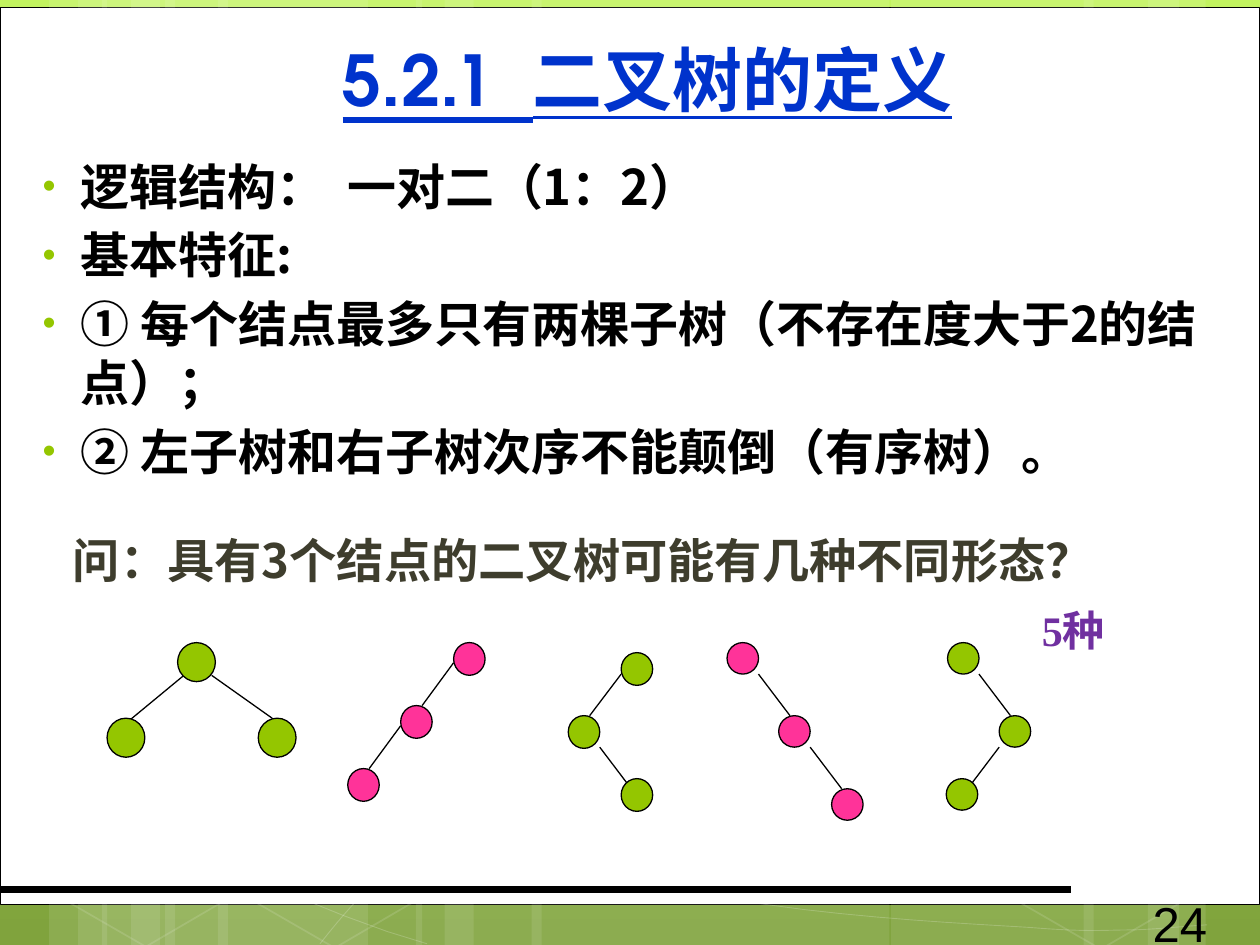
from copy import deepcopy

from lxml.etree import SubElement
from pptx import Presentation
from pptx.dml.color import RGBColor
from pptx.enum.shapes import MSO_CONNECTOR, MSO_SHAPE
from pptx.enum.text import MSO_ANCHOR, PP_ALIGN
from pptx.oxml.ns import qn
from pptx.util import Inches, Pt

CJK = "Noto Sans CJK SC"
GREEN, PINK = "94C600", "FF3399"
GRADIENT = [(0, "C2F35F"), (0.62, "92BE3F"), (1, "80A33D")]

TITLE = "5.2.1  二叉树的定义"
BULLETS = [
    "逻辑结构：  一对二（1：2）",
    "基本特征:",
    "① 每个结点最多只有两棵子树（不存在度大于2的结点）；",
    "② 左子树和右子树次序不能颠倒（有序树）。",
]
QUESTION = "问：具有3个结点的二叉树可能有几种不同形态？"
ANSWER = "5种"

# Background: (left, width) of stripes, (left, top) of hexagons, Bezier points of curves
STRIPES = [(1.31, 1.61), (0.39, 0.46), (0.62, 0.77), (1.73, 1.62), (0.81, 0.46),
           (1.04, 0.77), (7.07, 1.61), (9.11, 0.46), (8.6, 0.76), (4.22, 2.84),
           (3.3, 0.46), (3.53, 0.77)]
HEXAGONS = [(0.41, 5.91), (1.91, 5.92), (7.99, 5.93)]
CURVES = [
    [(0.36, 6.17), (1.47, 6.72), (2.58, 7.27), (3.39, 7.49)],
    [(0.37, 5.78), (0.66, 5.89), (0.95, 6), (1.49, 6.16), (2.02, 6.31), (2.82, 6.56),
     (3.59, 6.73), (4.36, 6.9), (5.33, 7.08), (6.09, 7.18), (6.85, 7.29), (7.67, 7.33),
     (8.16, 7.36), (8.64, 7.4), (8.77, 7.38), (9.01, 7.38), (9.24, 7.37), (9.41, 7.35),
     (9.58, 7.34)],
    [(2.54, 7.49), (2.7, 7.29), (2.86, 7.09), (3.09, 6.91), (3.31, 6.72), (3.62, 6.53),
     (3.88, 6.39), (4.13, 6.25), (4.29, 6.19), (4.63, 6.09), (4.97, 5.99), (5.59, 5.85),
     (5.91, 5.78), (6.23, 5.71), (6.28, 5.71), (6.57, 5.69), (6.85, 5.66), (7.3, 5.63),
     (7.62, 5.62), (7.94, 5.61), (8.47, 5.62), (8.47, 5.62)],
]

# Trees: colour, node size, left/top of nodes, ends of edges
TREES = [
    (GREEN, (0.3, 0.31), [(1.41, 5.1), (0.85, 5.7), (2.05, 5.7)],
     [(1.46, 5.36, 1, 5.74), (1.68, 5.36, 2.16, 5.7)]),
    (PINK, (0.25, 0.26), [(3.6, 5.1), (3.18, 5.6), (2.76, 6.1)],
     [(3.6, 5.26, 3.35, 5.6), (3.18, 5.76, 2.93, 6.1)]),
    (GREEN, (0.25, 0.26), [(4.93, 5.18), (4.51, 5.68), (4.93, 6.18)],
     [(4.93, 5.35, 4.68, 5.68), (4.76, 5.93, 5.01, 6.26)]),
    (PINK, (0.25, 0.25), [(5.77, 5.1), (6.18, 5.68), (6.6, 6.26)],
     [(6.02, 5.35, 6.27, 5.68), (6.43, 5.93, 6.68, 6.26)]),
    (GREEN, (0.25, 0.25), [(7.52, 5.1), (7.93, 5.68), (7.51, 6.18)],
     [(7.77, 5.35, 8.02, 5.68), (7.93, 5.93, 7.68, 6.26)]),
]


def rgb(code):
    return RGBColor.from_string(code)


def paint(sp, fill=None, line=None, width=0.75, fill_alpha=None, line_alpha=None):
    """Set fill and outline; alphas are percentages of opacity."""
    sp.shadow.inherit = False
    for part, color in ((sp.fill, fill), (sp.line.fill, line)):
        if color is None:
            part.background()
            continue
        part.solid()
        part.fore_color.rgb = rgb(color)
    if line:
        sp.line.width = Pt(width)
    pr = sp._element.spPr
    for owner, alpha in ((pr, fill_alpha), (pr.find(qn("a:ln")), line_alpha)):
        if alpha:
            clr = owner.find(qn("a:solidFill")).find(qn("a:srgbClr"))
            SubElement(clr, qn("a:alpha"), val=str(alpha * 1000))


def add_shape(kind, x, y, w, h, **style):
    sp = s.shapes.add_shape(kind, Inches(x), Inches(y), Inches(w), Inches(h))
    paint(sp, **style)
    return sp


def add_line(x1, y1, x2, y2, width=0.75):
    c = s.shapes.add_connector(MSO_CONNECTOR.STRAIGHT, *map(Inches, (x1, y1, x2, y2)))
    c.line.color.rgb = rgb("000000")
    c.line.width = Pt(width)
    SubElement(c._element.spPr, qn("a:effectLst"))


def add_curve(pts, steps=8):
    """Draw chained cubic Bezier segments as a fine polyline."""
    line = [pts[0]]
    for i in range(0, len(pts) - 1, 3):
        a, b, c, d = pts[i:i + 4]
        for t in (k / steps for k in range(1, steps + 1)):
            u = 1 - t
            line.append([u**3 * a[j] + 3 * u * u * t * b[j] + 3 * u * t * t * c[j] + t**3 * d[j]
                         for j in (0, 1)])
    points = [(Inches(x), Inches(y)) for x, y in line]
    builder = s.shapes.build_freeform(*points[0])
    builder.add_line_segments(points[1:], close=False)
    paint(builder.convert_to_shape(), line="FFFFFF", width=0.5, line_alpha=20)


def write(p, text, size, color, font=CJK, bold=True):
    r = p.add_run()
    r.text = text
    f = r.font
    f.size, f.bold, f.name = Pt(size), bold, font
    f.color.rgb = rgb(color)
    SubElement(f._element, qn("a:ea"), typeface=CJK)
    return r


def add_text(x, y, w, h):
    tf = s.shapes.add_textbox(*map(Inches, (x, y, w, h))).text_frame
    tf.word_wrap = True
    return tf


def add_bullet(p):
    pPr = p._p.get_or_add_pPr()
    pPr.set("marL", str(Inches(0.38)))
    pPr.set("indent", str(Inches(-0.3)))
    SubElement(SubElement(pPr, qn("a:buClr")), qn("a:srgbClr"), val=GREEN)
    SubElement(pPr, qn("a:buSzPct"), val="76000")
    SubElement(pPr, qn("a:buFont"), typeface="Arial")
    SubElement(pPr, qn("a:buChar"), char="•")


prs = Presentation()
prs.slide_width, prs.slide_height = Inches(10), Inches(7.5)
s = prs.slides.add_slide(prs.slide_layouts[5])

bg = s.background.fill
bg.gradient()
bg.gradient_angle = 270
stops = s._element.find(".//" + qn("a:gsLst"))
stops.append(deepcopy(stops[-1]))
for stop, (position, color) in zip(bg.gradient_stops, GRADIENT):
    stop.position = position
    stop.color.rgb = rgb(color)

add_shape(MSO_SHAPE.RECTANGLE, 0, 0.06, 10, 7.12, fill="FFFFFF", line="000000", width=0.5)
for x, w in STRIPES:
    add_shape(MSO_SHAPE.RECTANGLE, x, 0, w, 7.5, fill="FFFFFF", fill_alpha=10)
for pts in CURVES:
    add_curve(pts)
for x, y in HEXAGONS:
    sp = add_shape(MSO_SHAPE.HEXAGON, x, y, 1.61, 1.52, line="FFFFFF", width=1, line_alpha=12)
    sp.adjustments[0] = 0.285
    sp.rotation = 30
add_line(0, 7.06, 8.5, 7.06, 4.5)

write(add_text(9.05, 7.04, 0.84, 0.46).paragraphs[0], "24", 28, "000000", "Arial", False)
write(add_text(0.48, 4.17, 9.36, 0.56).paragraphs[0], QUESTION, 27, "3E3D2D")
write(add_text(8.17, 4.75, 1.42, 0.5).paragraphs[0], ANSWER, 24, "7030A0", "Times New Roman")

for color, size, nodes, edges in TREES:
    for edge in edges:
        add_line(*edge)
    for node in nodes:
        add_shape(MSO_SHAPE.OVAL, *node, *size, fill=color, line="000000")

tf = add_text(0.16, 0.64, 9.69, 3.39)
tf.margin_top = Inches(0.6)
for i, text in enumerate(BULLETS):
    p = tf.paragraphs[0] if i == 0 else tf.add_paragraph()
    p.space_before = Pt(5.6)
    add_bullet(p)
    write(p, text, 28, "000000")

title = s.shapes.title
s.shapes._spTree.append(title._element)  # bring in front of the white panel
title.left, title.top, title.width, title.height = map(Inches, (1.3, 0, 7.68, 1.25))
tf = title.text_frame
tf.margin_left = tf.margin_right = tf.margin_top = tf.margin_bottom = 0
tf.vertical_anchor = MSO_ANCHOR.MIDDLE
tf.word_wrap = False
p = tf.paragraphs[0]
p.alignment = PP_ALIGN.CENTER
write(p, TITLE, 40, "0033CC", "TeX Gyre Adventor").font.underline = True

prs.save("out.pptx")
